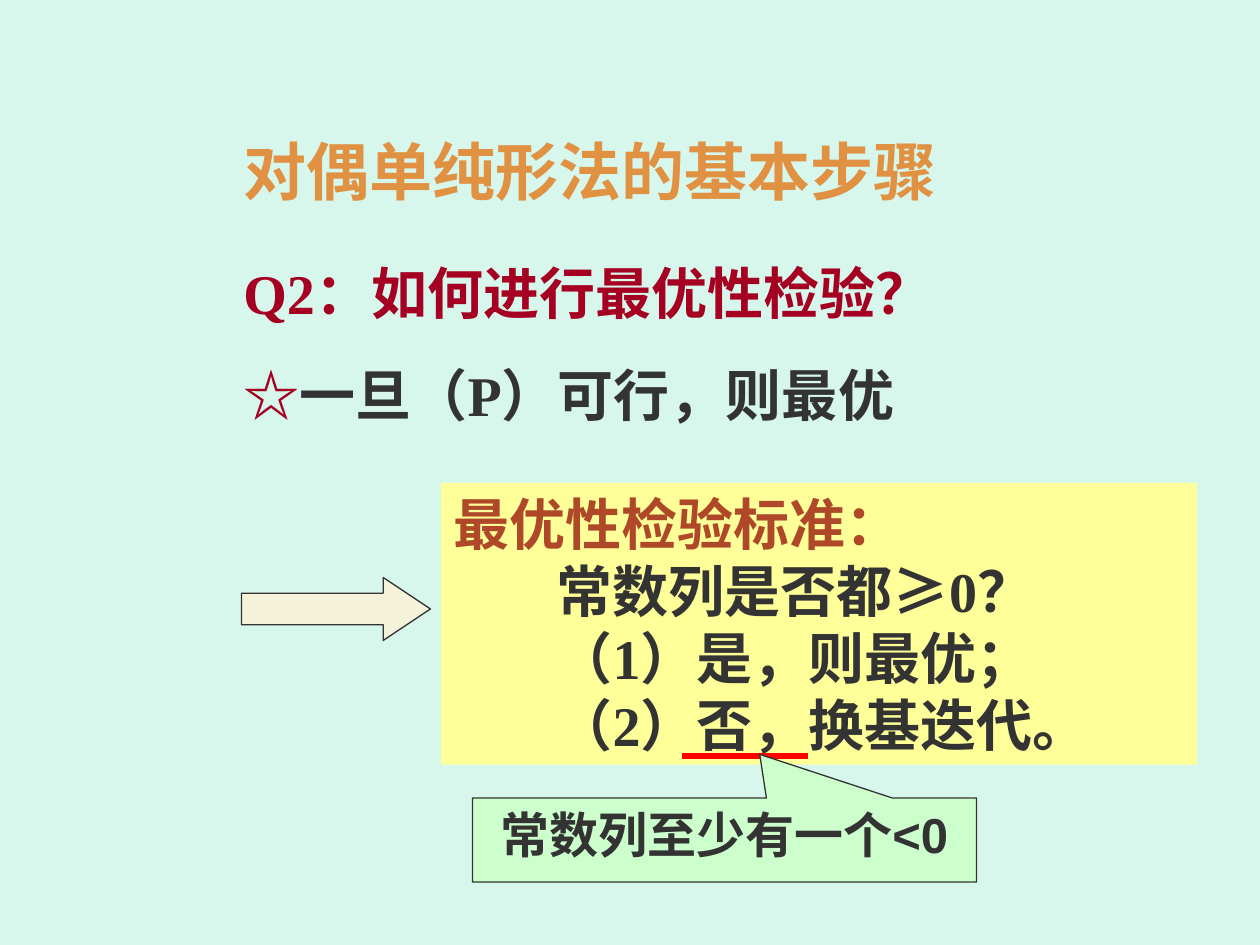
import pptx
import pptx.util
import pptx.dml.color
import pptx.enum.shapes
import pptx.enum.text
import pptx.oxml.ns
from dataclasses import dataclass

Pt = pptx.util.Pt
Kind = pptx.enum.shapes.MSO_SHAPE
Align = pptx.enum.text.PP_ALIGN
Fit = pptx.enum.text.MSO_AUTO_SIZE


@dataclass(frozen=True)
class Theme:
    back: str = "D7F7ED"
    title: str = "E09142"
    ask: str = "A50021"
    dark: str = "333333"
    head: str = "AE4828"
    panel: str = "FFFF99"
    arrow: str = "F4F3D9"
    note: str = "CCFFCC"
    mark: str = "FF0000"
    sans: str = "Arial"
    serif: str = "Times New Roman"
    big: int = 36
    body: int = 32
    small: int = 28


T = Theme()


def rgb(code):
    return pptx.dml.color.RGBColor.from_string(code)


def place(box):
    return [Pt(n) for n in box]


def write(shape, lines, font, size, fit=True):
    """Each line is a list of (text, colour) runs."""
    frame = shape.text_frame
    frame.word_wrap = True
    frame.vertical_anchor = pptx.enum.text.MSO_ANCHOR.TOP
    frame.auto_size = Fit.SHAPE_TO_FIT_TEXT if fit else Fit.NONE
    for i, line in enumerate(lines):
        para = frame.add_paragraph() if i else frame.paragraphs[0]
        para.alignment = Align.LEFT
        for text, color in line:
            run = para.add_run()
            run.text = text
            run.font.name = font
            run.font.size = Pt(size)
            run.font.bold = True
            run.font.color.rgb = rgb(color)
    return frame.paragraphs


def shape(slide, kind, box, fill, edge=None):
    item = slide.shapes.add_shape(kind, *place(box))
    item.shadow.inherit = False
    item.fill.solid()
    item.fill.fore_color.rgb = rgb(fill)
    if edge:
        item.line.color.rgb = rgb(edge)
        item.line.width = Pt(0.75)
    else:
        item.line.fill.background()
    return item


def title(slide, box):
    item = slide.shapes.add_textbox(*place(box))
    write(item, [[("对偶单纯形法的基本步骤", T.title)]], T.sans, T.big)


def question(slide, box):
    item = slide.shapes.add_textbox(*place(box))
    lines = [[("Q2：如何进行最优性检验？", T.ask)],
             [("☆", T.ask), ("一旦（P）可行，则最优", T.dark)]]
    for para in write(item, lines, T.serif, T.body):
        para.space_before = Pt(20)


def rule(slide, box):
    # Arrow and panel share the box; the panel fills its right part
    left, top, width, height = box
    inset = 114
    panel = shape(slide, Kind.RECTANGLE,
                  (left + inset, top, width - inset, height), T.panel)
    steps = ["常数列是否都≥0？", "（1）是，则最优；", "（2）否，换基迭代。"]
    lines = [[("最优性检验标准：", T.head)]] + [[(s, T.dark)] for s in steps]
    paras = write(panel, lines, T.serif, T.body)
    for para in paras[1:]:
        para._p.get_or_add_pPr().set("marL", str(Pt(59)))
    arrow = shape(slide, Kind.RIGHT_ARROW, (left, top + 54, 108, 36),
                  T.arrow, T.dark)
    arrow.adjustments[1] = 0.75


def remark(slide, box):
    left, top, width, height = box
    # Underline of the case being explained
    start, level = left + 120, top - 24
    line = slide.shapes.add_connector(
        pptx.enum.shapes.MSO_CONNECTOR.STRAIGHT,
        *place((start, level, start + 72, level)))
    line.line.color.rgb = rgb(T.mark)
    line.line.width = Pt(3)
    props = line._element.spPr
    props.append(props.makeelement(pptx.oxml.ns.qn("a:effectLst"), {}))
    # Callout pointing at the underline
    note = shape(slide, Kind.RECTANGULAR_CALLOUT, box, T.note, T.dark)
    note.adjustments[0] = 0.07
    note.adjustments[1] = -1.02
    paras = write(note, [[("常数列至少有一个<0", T.dark)]],
                  T.sans, T.small, fit=False)
    paras[0].alignment = Align.CENTER


def main():
    deck = pptx.Presentation()
    deck.slide_width, deck.slide_height = Pt(720), Pt(540)
    slide = deck.slides.add_slide(deck.slide_layouts[6])
    slide.background.fill.solid()
    slide.background.fill.fore_color.rgb = rgb(T.back)
    title(slide, (132, 72, 558, 50.4))
    question(slide, (132, 144, 558, 104.4))
    rule(slide, (138, 276, 546, 161))
    remark(slide, (270, 456, 288, 48))
    deck.save("out.pptx")


if __name__ == "__main__":
    main()
